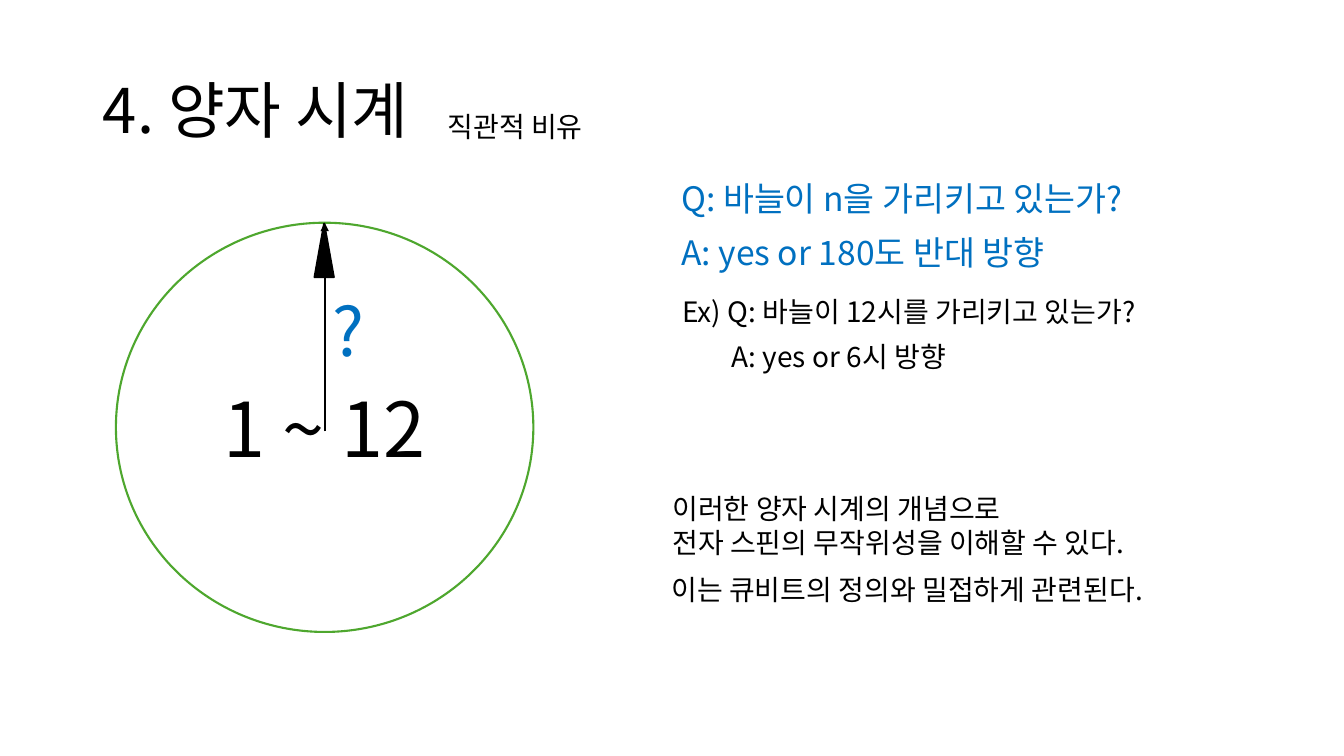
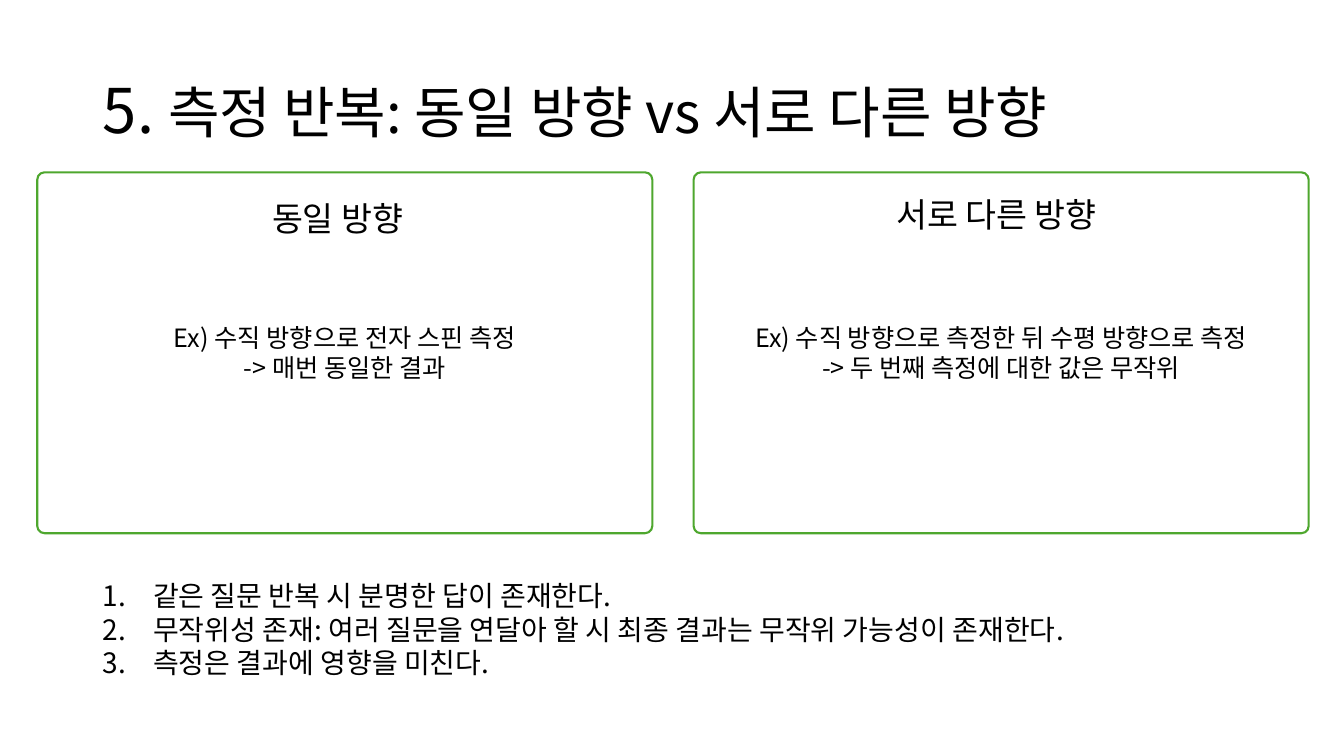
from pptx import Presentation
from pptx.dml.color import RGBColor
from pptx.enum.shapes import MSO_CONNECTOR, MSO_SHAPE
from pptx.enum.text import MSO_ANCHOR, MSO_AUTO_SIZE, PP_ALIGN
from pptx.oxml.ns import qn
from pptx.util import Inches, Pt
from lxml import etree

BLACK = RGBColor(0x00, 0x00, 0x00)
WHITE = RGBColor(0xFF, 0xFF, 0xFF)
GREEN = RGBColor(0x4E, 0xA7, 0x2E)
BLUE = RGBColor(0x00, 0x70, 0xC0)
FONT = "Noto Sans CJK KR"
LINE_WIDTH = Pt(1.5)
TITLE_ONLY = 5
LEFT, CENTER = PP_ALIGN.LEFT, PP_ALIGN.CENTER
MIDDLE = MSO_ANCHOR.MIDDLE
NO_FIT, GROW = MSO_AUTO_SIZE.NONE, MSO_AUTO_SIZE.SHAPE_TO_FIT_TEXT
ELLIPSE, TRIANGLE = MSO_SHAPE.OVAL, MSO_SHAPE.ISOSCELES_TRIANGLE
ROUNDED = MSO_SHAPE.ROUNDED_RECTANGLE
STRAIGHT = MSO_CONNECTOR.STRAIGHT


class Deck:
    """Holds the shared style and the current page."""

    def __init__(self):
        self.deck = Presentation()
        self.deck.slide_width = Inches(13.33)
        self.deck.slide_height = Inches(7.5)
        self.page = None

    def style(self, para, size, color=BLACK, align=LEFT):
        para.alignment = align
        para.font.size = Pt(size)
        para.font.color.rgb = color
        para.font.name = FONT
        # Korean letters take the East Asian typeface
        default = para._p.get_or_add_pPr().find(qn("a:defRPr"))
        etree.SubElement(default, qn("a:ea"), typeface=FONT)

    def add_lines(self, frame, lines, size, color=BLACK, align=LEFT):
        for index, line in enumerate(lines):
            para = frame.add_paragraph() if index else frame.paragraphs[0]
            para.add_run().text = line
            self.style(para, size, color, align)

    def add_page(self, title, rest="", rest_size=40):
        """Start a page; the rest of its title may have its own size."""
        self.page = self.deck.slides.add_slide(self.deck.slide_layouts[TITLE_ONLY])
        box = self.page.shapes.title
        box.left, box.top = Inches(0.92), Inches(0.4)
        box.width, box.height = Inches(11.5), Inches(1.45)
        frame = box.text_frame
        frame.auto_size = NO_FIT
        frame.vertical_anchor = MIDDLE
        self.add_lines(frame, [title], 44)
        para = frame.paragraphs[0]
        para.line_spacing = 0.9
        if rest:
            span = para.add_run()
            span.text = rest
            span.font.size = Pt(rest_size)

    def text(self, left, top, width, height, lines, size=20, color=BLACK, wrap=False):
        box = self.page.shapes.add_textbox(
            Inches(left), Inches(top), Inches(width), Inches(height))
        frame = box.text_frame
        frame.word_wrap = wrap
        frame.auto_size = GROW
        self.add_lines(frame, lines, size, color)
        return frame

    def numbered(self, left, top, width, height, lines):
        frame = self.text(left, top, width, height, lines)
        for para in frame.paragraphs:
            props = para._p.get_or_add_pPr()
            props.set("marL", str(Inches(0.5)))
            props.set("indent", str(-Inches(0.5)))
            number = etree.Element(qn("a:buAutoNum"), type="arabicPeriod")
            props.find(qn("a:defRPr")).addprevious(number)

    def shape(self, kind, left, top, width, height, lines=(), size=18,
              fill=WHITE, line=GREEN):
        shape = self.page.shapes.add_shape(
            kind, Inches(left), Inches(top), Inches(width), Inches(height))
        shape.shadow.inherit = False
        shape.fill.solid()
        shape.fill.fore_color.rgb = fill
        shape.line.color.rgb = line
        shape.line.width = LINE_WIDTH
        shape.text_frame.vertical_anchor = MIDDLE
        self.add_lines(shape.text_frame, lines, size, align=CENTER)
        return shape

    def arrow(self, x1, y1, x2, y2):
        arrow = self.page.shapes.add_connector(
            STRAIGHT, Inches(x1), Inches(y1), Inches(x2), Inches(y2))
        arrow.line.color.rgb = BLACK
        arrow.line.width = LINE_WIDTH
        etree.SubElement(arrow.line._get_or_add_ln(), qn("a:tailEnd"), type="triangle")
        etree.SubElement(arrow._element.spPr, qn("a:effectLst"))


def build_clock(deck):
    deck.add_page("4. 양자 시계")
    deck.text(4.34, 1.04, 1.7, 0.44, ["직관적 비유"])

    # Clock face and hand
    deck.shape(ELLIPSE, 1.15, 2.21, 4.14, 4.06, ["1 ~ 12"], 54)
    deck.arrow(3.22, 4.28, 3.22, 2.21)
    deck.shape(TRIANGLE, 3.12, 2.22, 0.19, 0.53, fill=BLACK, line=BLACK)
    deck.text(3.2, 2.82, 0.44, 0.91, ["?"], 48, BLUE, wrap=True)

    # Question and answer
    deck.text(6.66, 1.72, 5.06, 0.5, ["Q: 바늘이 n을 가리키고 있는가?"], 24, BLUE)
    deck.text(6.66, 2.25, 4.14, 0.5, ["A: yes or 180도 반대 방향"], 24, BLUE)
    deck.text(6.67, 2.87, 5.14, 0.44, ["Ex) Q: 바늘이 12시를 가리키고 있는가?"])
    deck.text(7.16, 3.32, 2.51, 0.44, ["A: yes or 6시 방향"])

    # Conclusion
    deck.text(6.57, 4.83, 5.24, 0.77,
              ["이러한 양자 시계의 개념으로", "전자 스핀의 무작위성을 이해할 수 있다."])
    deck.text(6.56, 5.63, 5.42, 0.44, ["이는 큐비트의 정의와 밀접하게 관련된다."])


def build_comparison(deck):
    deck.add_page("5. ", "측정 반복: 동일 방향 vs 서로 다른 방향")

    # Cards: left edge, example, then heading with its left, top and width
    cards = [
        (0.37, ["Ex) 수직 방향으로 전자 스핀 측정", "-> 매번 동일한 결과"],
         "동일 방향", 2.6, 1.91, 1.67),
        (6.88, ["Ex) 수직 방향으로 측정한 뒤 수평 방향으로 측정",
                "-> 두 번째 측정에 대한 값은 무작위"],
         "서로 다른 방향", 8.79, 1.87, 2.46),
    ]
    for card_left, example, heading, left, top, width in cards:
        card = deck.shape(ROUNDED, card_left, 1.71, 6.1, 3.58, example)
        card.adjustments[0] = 0.02
        deck.text(left, top, width, 0.5, [heading], 24)

    # Findings
    deck.numbered(0.92, 5.69, 10.89, 1.11, [
        "같은 질문 반복 시 분명한 답이 존재한다.",
        "무작위성 존재: 여러 질문을 연달아 할 시 최종 결과는 무작위 가능성이 존재한다.",
        "측정은 결과에 영향을 미친다.",
    ])


def main():
    deck = Deck()
    build_clock(deck)
    build_comparison(deck)
    deck.deck.save("out.pptx")


if __name__ == "__main__":
    main()
